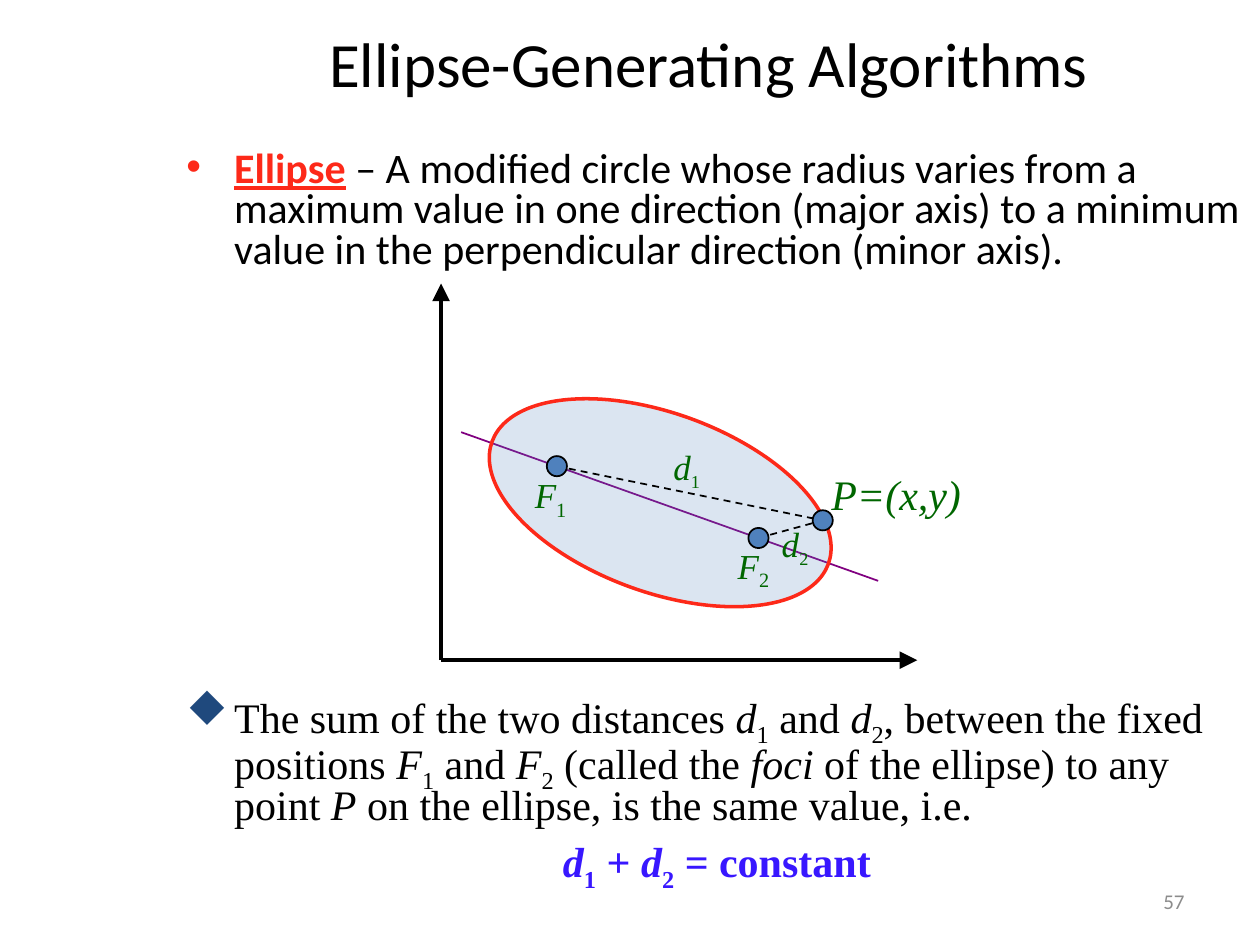
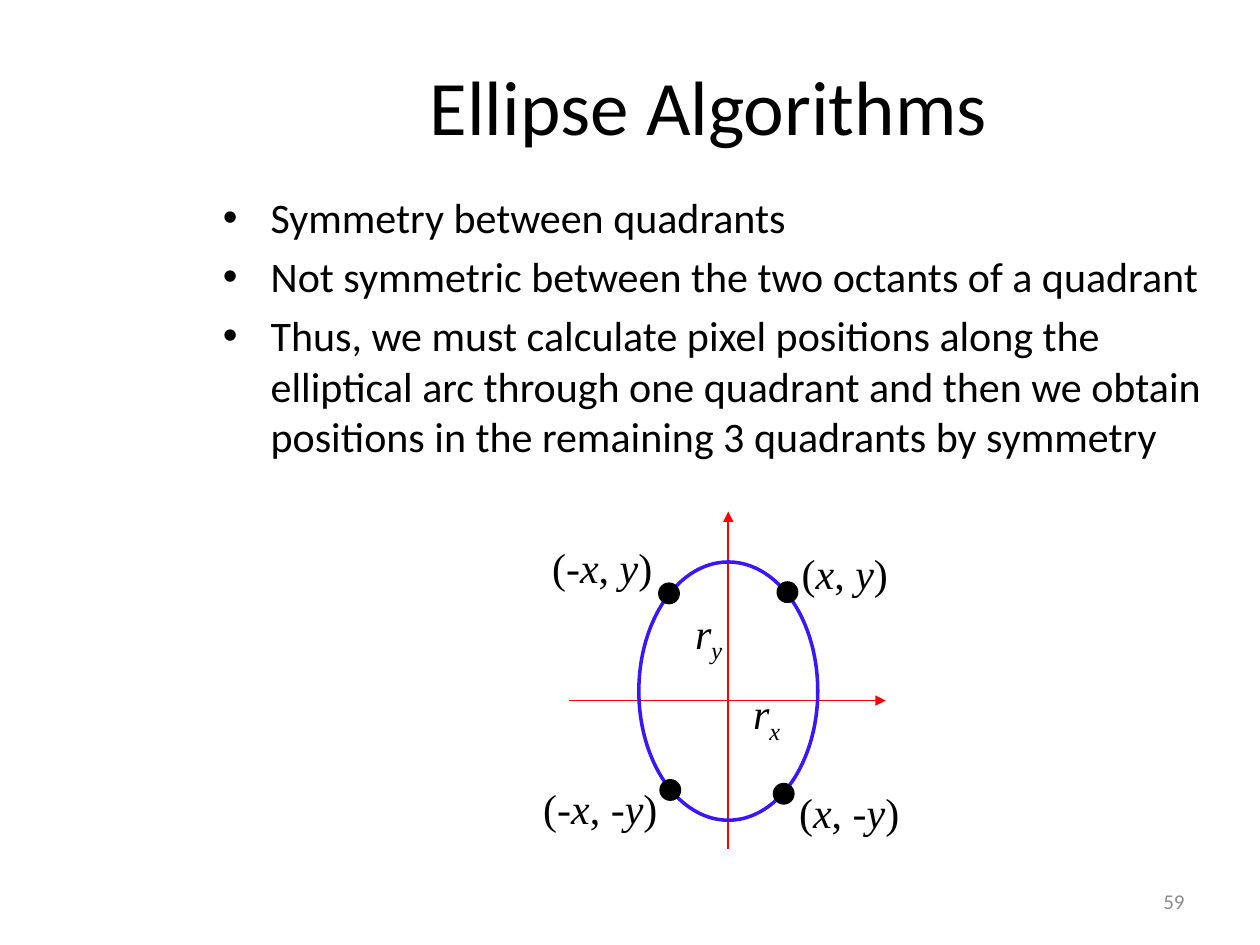
from dataclasses import dataclass

import pptx
import pptx.dml.color
import pptx.enum.dml
import pptx.enum.shapes
import pptx.enum.text
import pptx.oxml
import pptx.oxml.ns
import pptx.util
from lxml import etree

Inches = pptx.util.Inches
Pt = pptx.util.Pt
ALIGN = pptx.enum.text.PP_ALIGN
ANCHOR = pptx.enum.text.MSO_ANCHOR
SHAPE = pptx.enum.shapes.MSO_SHAPE
qn = pptx.oxml.ns.qn


@dataclass(frozen=True)
class Theme:
    sans: str = "Calibri"
    serif: str = "Times New Roman"
    black: str = "000000"
    grey: str = "8C8C8C"
    red: str = "FD2919"
    axis_red: str = "FF0000"
    blue: str = "4F81BD"
    navy: str = "1F497D"
    violet: str = "3817FF"
    purple: str = "800080"
    green: str = "006600"
    title: int = 44
    small_title: int = 36
    body: int = 24
    label: int = 20
    small: int = 18
    footer: int = 12
    indent: float = 0.38
    dot: float = 0.16


T = Theme()
MARKS = "*~|"
ROUND = ("•", {"typeface": "Arial"})
DIAMOND = ("u", {"typeface": "Wingdings", "pitchFamily": "2", "charset": "2"})


def rgb(color):
    return pptx.dml.color.RGBColor.from_string(color)


def split_runs(text):
    """Marks toggle a style: * italic, ~ subscript, | key term."""
    on, start = set(), 0
    for i, ch in enumerate(text + "*"):
        if ch in MARKS:
            if i > start:
                yield text[start:i], frozenset(on)
            on ^= {ch}
            start = i + 1


def write(p, text, size=T.body, font=T.sans, color=T.black, bold=False,
          align=ALIGN.LEFT, sub_size=None, line=None, before=0,
          hanging=False, bullet=None, bullet_color=None):
    p.alignment = align
    p.space_before = Pt(before)
    if line:
        p.line_spacing = line
    pPr = p._p.get_or_add_pPr()
    if hanging:
        pPr.set("marL", str(Inches(T.indent)))
        pPr.set("indent", str(-Inches(T.indent)))
    if bullet:
        char, bullet_font = bullet
        clr = etree.SubElement(pPr, qn("a:buClr"))
        etree.SubElement(clr, qn("a:srgbClr"), val=bullet_color or color)
        etree.SubElement(pPr, qn("a:buFont"), bullet_font)
        etree.SubElement(pPr, qn("a:buChar"), char=char)
    for part, style in split_runs(text):
        r = p.add_run()
        r.text = part
        f = r.font
        key = "|" in style
        f.name, f.size = font, Pt(size)
        f.color.rgb = rgb(T.red if key else color)
        f.bold, f.italic, f.underline = bold or key, "*" in style, key
        if "~" in style:
            f.size = Pt(sub_size or size)
            r._r.get_or_add_rPr().set("baseline", "-25000")


def add_text(slide, box, wrap=True, anchor=ANCHOR.TOP):
    sp = slide.shapes.add_textbox(*map(Inches, box))
    tf = sp.text_frame
    tf.word_wrap, tf.vertical_anchor = wrap, anchor
    return tf


def add_title(slide, text, box, size):
    sp = slide.shapes.title
    sp.left, sp.top, sp.width, sp.height = map(Inches, box)
    tf = sp.text_frame
    tf.auto_size = pptx.enum.text.MSO_AUTO_SIZE.NONE
    tf.vertical_anchor = ANCHOR.MIDDLE
    write(tf.paragraphs[0], text, size=size, align=ALIGN.CENTER)


def add_page_number(slide, number):
    tf = add_text(slide, (7.17, 6.95, 2.33, 0.4), anchor=ANCHOR.MIDDLE)
    write(tf.paragraphs[0], number, size=T.footer, color=T.grey, align=ALIGN.RIGHT)


class Diagram:
    def __init__(self, slide, left, top):
        self.slide, self.left, self.top = slide, left, top

    def at(self, x, y):
        return Inches(self.left + x), Inches(self.top + y)

    def line(self, start, end, color=T.black, width=1, arrow=None, dash=False):
        cx = self.slide.shapes.add_connector(
            pptx.enum.shapes.MSO_CONNECTOR.STRAIGHT, *self.at(*start), *self.at(*end))
        cx.line.color.rgb, cx.line.width = rgb(color), Pt(width)
        if dash:
            cx.line.dash_style = pptx.enum.dml.MSO_LINE.DASH
        if arrow:
            etree.SubElement(cx.line._get_or_add_ln(), qn("a:tailEnd"),
                             type="triangle", w=arrow, len=arrow)
        etree.SubElement(cx._element.spPr, qn("a:effectLst"))

    def ellipse(self, x, y, w, h, color, width=2, fill=None, alpha=None, rotation=0):
        sp = self.slide.shapes.add_shape(
            SHAPE.OVAL, *self.at(x, y), Inches(w), Inches(h))
        sp.shadow.inherit = False
        sp.rotation = rotation
        sp.line.color.rgb, sp.line.width = rgb(color), Pt(width)
        if fill:
            sp.fill.solid()
            sp.fill.fore_color.rgb = rgb(fill)
        else:
            sp.fill.background()
        if alpha:
            clr = sp._element.spPr.find(qn("a:solidFill"))[0]
            etree.SubElement(clr, qn("a:alpha"), val=str(alpha * 1000))

    def dot(self, center, fill):
        x, y = (c - T.dot / 2 for c in center)
        self.ellipse(x, y, T.dot, T.dot, T.black, 1, fill)

    def label(self, text, x, y, w, h=0.5, align=ALIGN.CENTER, **fmt):
        tf = add_text(self.slide, (self.left + x, self.top + y, w, h), wrap=False)
        write(tf.paragraphs[0], text, font=T.serif, align=align, **fmt)


def draw_foci(slide, left, top):
    d = Diagram(slide, left, top)
    f1, f2, point = (0.92, 1.45), (2.52, 2.02), (3.03, 1.88)
    origin = (0, 2.99)
    d.line((0.16, 1.18), (3.47, 2.36), T.purple)
    d.ellipse(0.32, 1.03, 2.84, 1.42, T.red, fill=T.blue, alpha=20, rotation=20)
    for end in ((0, 0), (3.78, 2.99)):
        d.line(origin, end, width=2, arrow="lg")
    for focus in (f1, f2):
        d.line(focus, point, dash=True)
    for center in (f2, f1, point):
        d.dot(center, T.blue)
    d.label("*P=(x,y)*", 3, 1.42, 1.23, color=T.green, align=ALIGN.LEFT)
    for text, x, y, w, sub_size in (
            ("*F*~1~", 0.64, 1.46, 0.46, T.label),
            ("*F*~2~", 2.25, 2.02, 0.46, T.label),
            ("*d*~1~", 1.74, 1.24, 0.42, T.small),
            ("*d*~2~", 2.6, 1.85, 0.42, T.small)):
        d.label(text, x, y, w, 0.43, size=T.label, sub_size=sub_size, color=T.green)


def draw_symmetry(slide, left, top):
    d = Diagram(slide, left, top)
    d.line((1.57, 2.68), (1.57, 0), T.axis_red, arrow="med")
    d.line((0.31, 1.5), (2.82, 1.5), T.axis_red, arrow="med")
    d.ellipse(0.86, 0.4, 1.42, 2.05, T.violet)
    for center in ((2.01, 2.24), (1.1, 0.65), (1.11, 2.21), (2.04, 0.64)):
        d.dot(center, T.black)
    for text, x, y, w in (
            ("(*x*, *y*)", 2.05, 0.24, 0.89),
            ("(-*x*, *y*)", 0.07, 0.19, 1),
            ("(*x*, -*y*)", 2.03, 2.13, 1),
            ("(-*x*, -*y*)", 0, 2.1, 1.11),
            ("*r~x~*", 1.66, 1.35, 0.43),
            ("*r~y~*", 1.2, 0.71, 0.43)):
        d.label(text, x, y, w)


def definition_slide(slide):
    add_title(slide, "Ellipse-Generating Algorithms", (1.5, 0.13, 8.25, 0.73), T.small_title)
    tight = dict(line=0.8, hanging=True)
    tf = add_text(slide, (1.38, 1.15, 8.62, 1.18))
    write(tf.paragraphs[0],
          "|Ellipse| – A modified circle whose radius varies from a maximum value "
          "in one direction (major axis) to a minimum value in the perpendicular "
          "direction (minor axis).", bullet=ROUND, bullet_color=T.red, **tight)
    add_page_number(slide, "57")
    draw_foci(slide, 3.5, 2.25)
    tf = add_text(slide, (1.38, 5.48, 8.62, 1.65))
    write(tf.paragraphs[0],
          "The sum of the two distances *d*~1~ and *d*~2~, between the fixed "
          "positions *F*~1~ and *F*~2~ (called the *foci* of the ellipse) to any "
          "point *P* on the ellipse, is the same value, i.e.",
          font=T.serif, bullet=DIAMOND, bullet_color=T.navy, **tight)
    write(tf.add_paragraph(), "*d*~1~ + *d*~2~ = constant", font=T.serif,
          color=T.violet, bold=True, align=ALIGN.CENTER, before=7, **tight)


def symmetry_slide(slide):
    add_title(slide, "Ellipse Algorithms", (1.5, 0.21, 8.25, 1.25), T.title)
    tf = add_text(slide, (1.67, 1.47, 8.33, 2.52))
    points = (
        "Symmetry between quadrants",
        "Not symmetric between the two octants of a quadrant",
        "Thus, we must calculate pixel positions along the elliptical arc through "
        "one quadrant and then we obtain positions in the remaining 3 quadrants "
        "by symmetry")
    for i, text in enumerate(points):
        p = tf.add_paragraph() if i else tf.paragraphs[0]
        write(p, text, hanging=True, bullet=ROUND, before=5 if i else 0)
    add_page_number(slide, "59")
    draw_symmetry(slide, 4.21, 4.06)


def main():
    prs = pptx.Presentation()
    prs.slide_width, prs.slide_height = Inches(10), Inches(7.5)
    for build in (definition_slide, symmetry_slide):
        build(prs.slides.add_slide(prs.slide_layouts[5]))
    prs.save("out.pptx")


if __name__ == "__main__":
    main()
